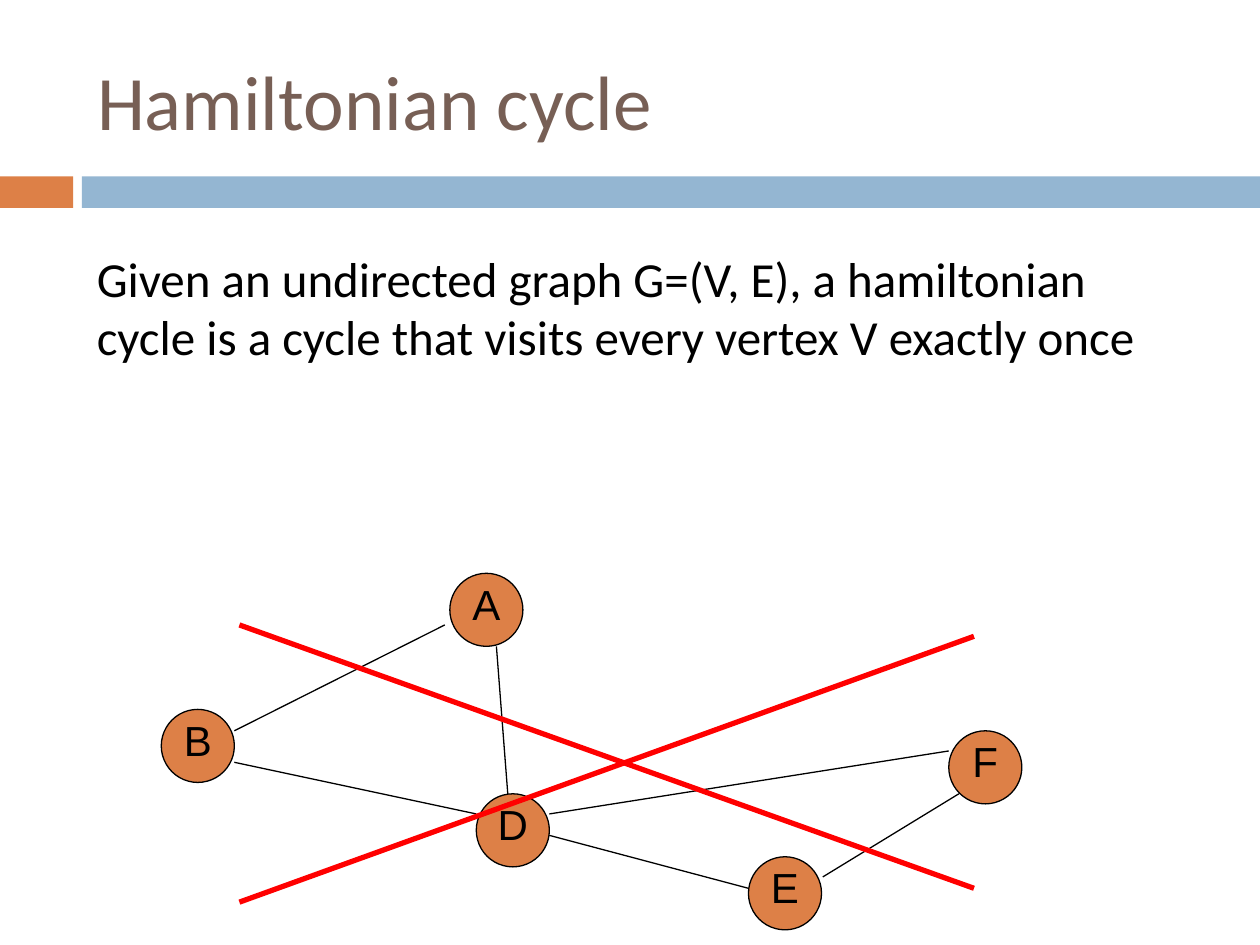
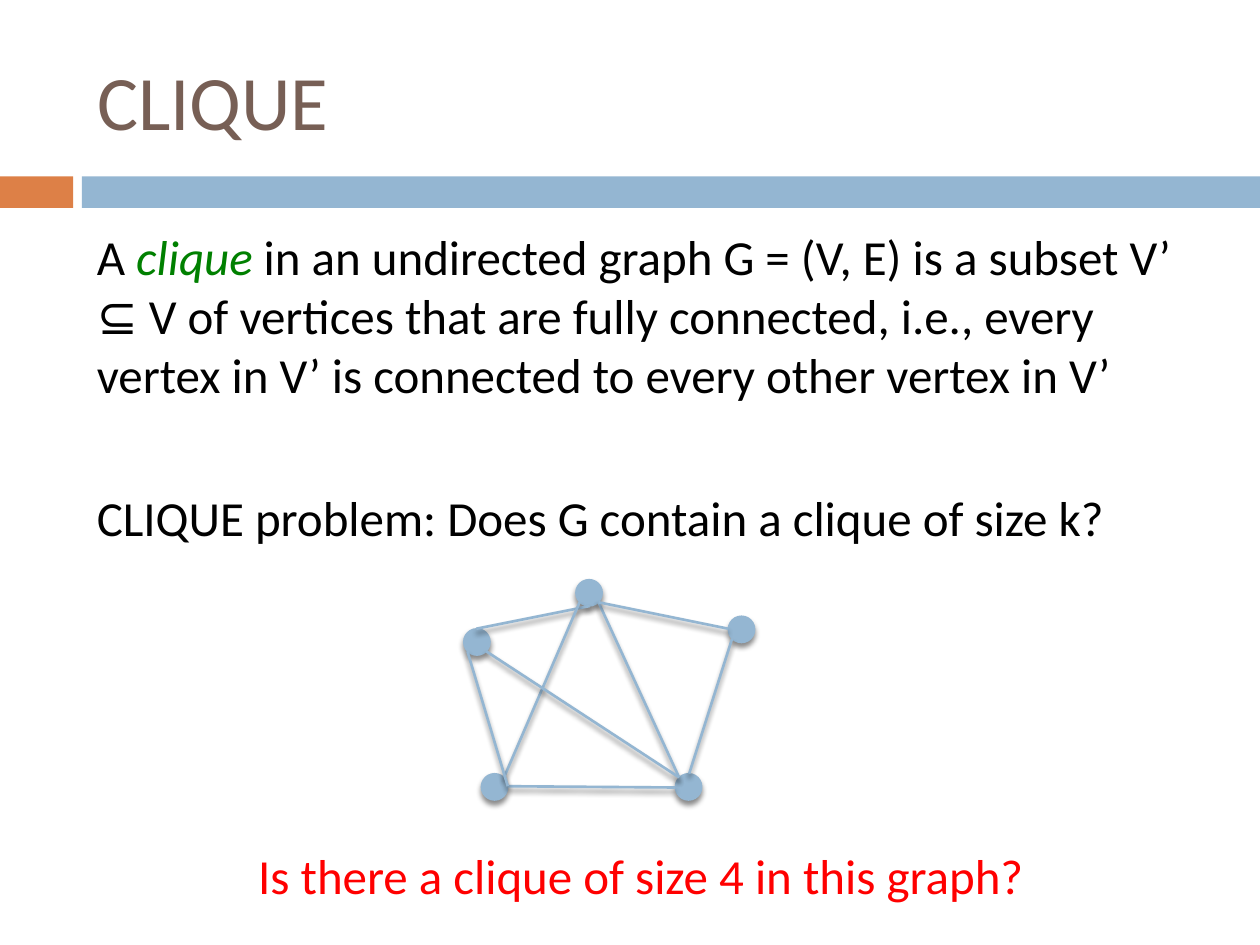
from pptx import Presentation
from pptx.util import Inches, Pt
from pptx.dml.color import RGBColor
from pptx.enum.shapes import MSO_CONNECTOR as Wire, MSO_SHAPE as Form
from pptx.enum.text import MSO_ANCHOR as Anchor, MSO_AUTO_SIZE as Fit, PP_ALIGN as Align
from pptx.oxml import parse_xml

hue = RGBColor.from_string
ORANGE, BLUE, BROWN = "DD8047", "94B6D2", "775F55"
BLACK, RED, GREEN = "000000", "FF0000", "008000"
SPACE = 'xmlns:a="http://schemas.openxmlformats.org/drawingml/2006/main"'
PLAIN = f"<a:effectLst {SPACE}/>"
SHADE = (
    f'<a:effectLst {SPACE}><a:outerShdw blurRad="38100" dist="30480" dir="5400000" '
    'rotWithShape="0"><a:srgbClr val="000000"><a:alpha val="45000"/></a:srgbClr>'
    "</a:outerShdw></a:effectLst>"
)


def write(para, words, size, color=BLACK, face="Calibri", slant=False):
    run = para.add_run()
    run.text = words
    run.font.name = face
    run.font.size = Pt(size)
    run.font.italic = slant
    run.font.color.rgb = hue(color)


def link(slide, start, end, color, width, effect=PLAIN):
    line = slide.shapes.add_connector(Wire.STRAIGHT, *map(Inches, start + end))
    line.line.color.rgb = hue(color)
    line.line.width = Pt(width)
    line._element.spPr.append(parse_xml(effect))


deck = Presentation()
deck.slide_width, deck.slide_height = Inches(10), Inches(7.5)

slides = []
for name in ("Hamiltonian cycle", "CLIQUE"):
    slide = deck.slides.add_slide(deck.slide_layouts[5])
    for left, width, color in ((0, 0.58, ORANGE), (0.65, 9.35, BLUE)):
        band = slide.shapes.add_shape(
            Form.RECTANGLE, Inches(left), Inches(1.4), Inches(width), Inches(0.25))
        band.shadow.inherit = False
        band.fill.solid()
        band.fill.fore_color.rgb = hue(color)
        band.line.fill.background()
    title = slide.shapes.title
    title.left, title.top = Inches(0.67), Inches(0.25)
    title.width, title.height = Inches(8.92), Inches(1.08)
    frame = title.text_frame
    frame.auto_size = Fit.NONE
    frame.vertical_anchor = Anchor.MIDDLE
    frame.paragraphs[0].alignment = Align.LEFT
    write(frame.paragraphs[0], name, 44, BROWN)
    slides.append(slide)
cycle, clique = slides

box = cycle.shapes.add_textbox(Inches(0.67), Inches(1.92), Inches(8.46), Inches(1.04))
box.text_frame.word_wrap = True
write(box.text_frame.paragraphs[0],
      "Given an undirected graph G=(V, E), a hamiltonian cycle is a cycle "
      "that visits every vertex V exactly once", 28)

nodes = {"A": (3.57, 4.55), "B": (1.28, 5.63), "E": (5.94, 6.8),
         "D": (3.78, 6.3), "F": (7.53, 5.8)}
for name, (left, top) in nodes.items():
    node = cycle.shapes.add_shape(
        Form.OVAL, Inches(left), Inches(top), Inches(0.58), Inches(0.58))
    node.shadow.inherit = False
    node.fill.solid()
    node.fill.fore_color.rgb = hue(ORANGE)
    node.line.color.rgb = hue(BLACK)
    node.line.width = Pt(0.75)
    frame = node.text_frame
    frame.word_wrap = False
    frame.margin_left = frame.margin_right = frame.margin_top = 0
    frame.margin_bottom = Inches(0.1)
    frame.vertical_anchor = Anchor.MIDDLE
    frame.paragraphs[0].alignment = Align.CENTER
    write(frame.paragraphs[0], name, 24, face="Arial")

edges = [
    ((1.86, 5.8), (3.53, 4.96)),
    ((1.86, 6.05), (3.78, 6.46)),
    ((4.03, 6.3), (3.94, 5.13)),
    ((4.36, 6.63), (5.94, 7.05)),
    ((6.53, 6.96), (7.61, 6.3)),
    ((4.36, 6.46), (7.53, 5.96)),
]
for start, end in edges:
    link(cycle, start, end, BLACK, 0.75)
for first, last in ((4.96, 7.05), (7.16, 5.05)):
    link(cycle, (1.9, first), (7.73, last), RED, 3)

box = clique.shapes.add_textbox(Inches(0.67), Inches(1.75), Inches(8.92), Inches(2.72))
frame = box.text_frame
frame.word_wrap = True
para = frame.paragraphs[0]
write(para, "A ", 28)
write(para, "clique", 28, GREEN, slant=True)
write(para, " in an undirected graph G = (V, E) is a subset V’ ⊆ V of vertices that are "
      "fully connected, i.e., every vertex in V’ is connected to every other vertex in V’", 28)
para = frame.add_paragraph()
para.space_before = Pt(48)
write(para, "CLIQUE problem: Does G contain a clique of size k?", 28)

for left, top in ((4.57, 4.6), (3.68, 4.99), (3.82, 6.14), (5.36, 6.14), (5.78, 4.89)):
    dot = clique.shapes.add_shape(
        Form.OVAL, Inches(left), Inches(top), Inches(0.21), Inches(0.21))
    dot.fill.solid()
    dot.fill.fore_color.rgb = hue(BLUE)
    dot.line.color.rgb = hue(BLUE)
    dot.line.width = Pt(0.79)
    dot._element.spPr.append(parse_xml(SHADE))

edges = [
    ((4.68, 4.81), (3.78, 4.99)),
    ((4.75, 4.78), (5.39, 6.17)),
    ((4.03, 6.24), (5.36, 6.25)),
    ((4, 6.17), (4.6, 4.78)),
    ((3.86, 5.17), (5.39, 6.17)),
    ((3.71, 5.17), (4.03, 6.24)),
    ((5.81, 5.07), (5.47, 6.14)),
    ((4.75, 4.78), (5.78, 4.99)),
]
for start, end in edges:
    link(clique, start, end, BLUE, 1.5, SHADE)

box = clique.shapes.add_textbox(Inches(1.95), Inches(6.66), Inches(6.31), Inches(0.57))
box.text_frame.word_wrap = False
write(box.text_frame.paragraphs[0], "Is there a clique of size 4 in this graph?", 28, RED)

deck.save("out.pptx")
